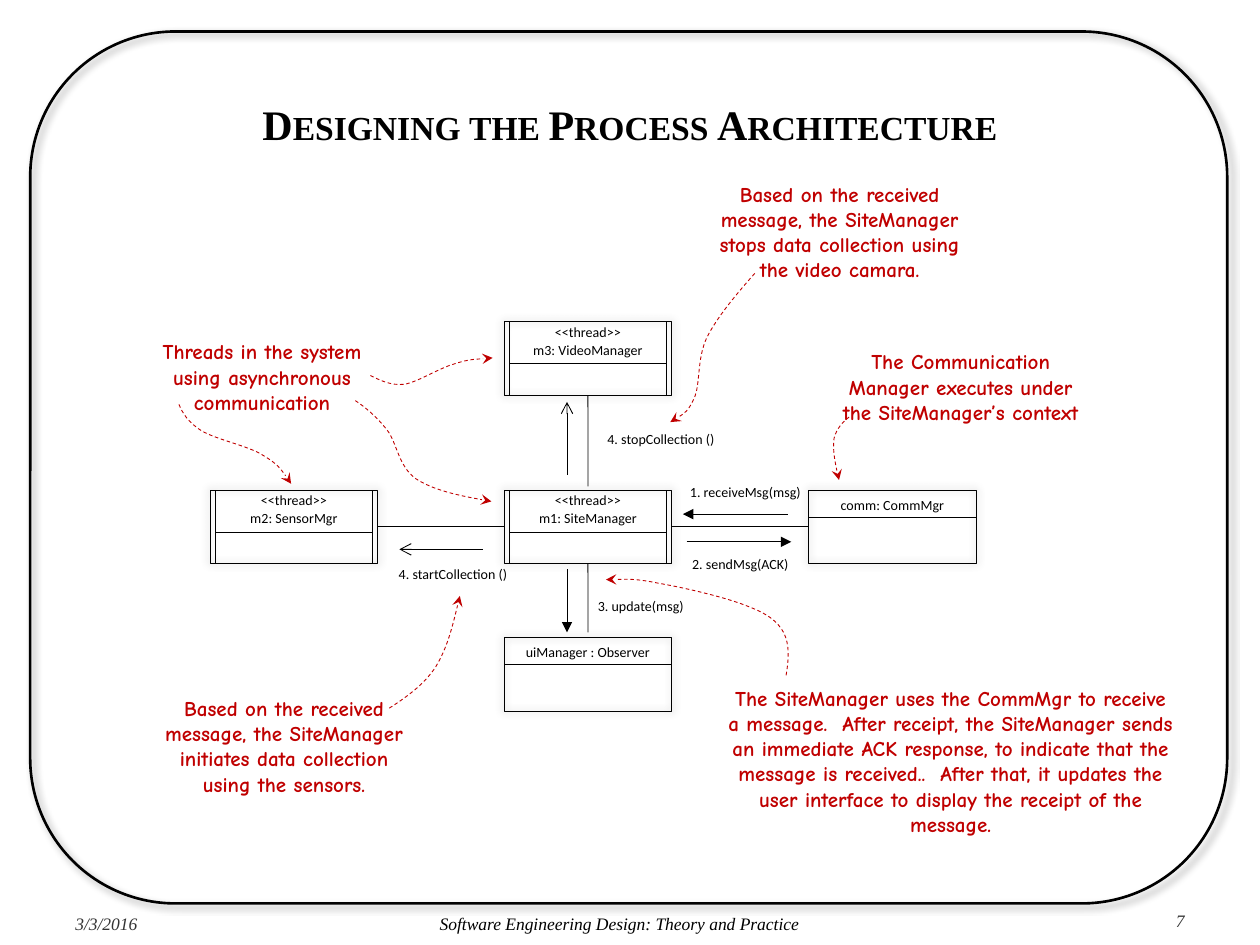
"""Build the process architecture collaboration slide."""
import pptx
import pptx.dml.color
import pptx.enum.dml
import pptx.enum.shapes
import pptx.enum.text
import pptx.oxml
import pptx.oxml.ns
import pptx.util
from lxml import etree

BLACK = pptx.dml.color.RGBColor(0x00, 0x00, 0x00)
GREY = pptx.dml.color.RGBColor(0x33, 0x33, 0x33)
RED = pptx.dml.color.RGBColor(0xC0, 0x00, 0x00)
qn = pptx.oxml.ns.qn
ALIGN = pptx.enum.text.PP_ALIGN
SHAPE = pptx.enum.shapes.MSO_SHAPE

prs = pptx.Presentation()
prs.slide_width = pptx.util.Inches(10)
prs.slide_height = pptx.util.Inches(7.5)
COL = prs.slide_width // 100
ROW = prs.slide_height // 75
BOX_W, BOX_H, BAR = 13.33, 5.83, 0.42
LABEL_H = 2.36
s = prs.slides.add_slide(prs.slide_layouts[6])


def add_text(x, y, w, h, text, size, font, color=BLACK, align=ALIGN.CENTER):
    tb = s.shapes.add_textbox(int(x * COL), int(y * ROW), int(w * COL), int(h * ROW))
    tf = tb.text_frame
    tf.word_wrap = True
    tf.text = text
    p = tf.paragraphs[0]
    p.alignment = align
    r = p.runs[0]
    r.font.size = pptx.util.Pt(size)
    r.font.name = font
    r.font.color.rgb = color
    return tf, r


def add_line(x1, y1, x2, y2, tail=None):
    cn = s.shapes.add_connector(
        pptx.enum.shapes.MSO_CONNECTOR.STRAIGHT,
        int(x1 * COL), int(y1 * ROW), int(x2 * COL), int(y2 * ROW))
    cn.line.color.rgb = BLACK
    cn.line.width = pptx.util.Pt(0.5)
    if tail:
        etree.SubElement(cn.line._get_or_add_ln(), qn("a:tailEnd"), type=tail)
    etree.SubElement(cn._element.spPr, qn("a:effectLst"))
    return cn


outlines = [
    ("frame", SHAPE.ROUNDED_RECTANGLE, 2.4, 2.5, 95, 69.2, 1.5, 4, 3, 45),
    ("m1", SHAPE.RECTANGLE, 40, 38.9, BOX_W, BOX_H, 0.5, 5, 0, 0),
    ("m3", SHAPE.RECTANGLE, 40, 25.55, BOX_W, BOX_H, 0.5, 5, 0, 0),
    ("m2", SHAPE.RECTANGLE, 16.67, 38.9, BOX_W, BOX_H, 0.5, 5, 0, 0),
    ("ui", SHAPE.RECTANGLE, 40, 50.6, BOX_W, BOX_H, 0.5, 5, 0, 0),
    ("comm", SHAPE.RECTANGLE, 64.17, 38.9, BOX_W, BOX_H, 0.5, 5, 0, 0),
]
boxes = {}
for name, kind, x, y, w, h, weight, blur, dist, angle in outlines:
    sp = s.shapes.add_shape(kind, int(x * COL), int(y * ROW), int(w * COL), int(h * ROW))
    sp.fill.background()
    sp.line.color.rgb = BLACK
    sp.line.width = pptx.util.Pt(weight)
    sp.shadow.inherit = False
    shadow = etree.SubElement(
        sp._element.spPr.find(qn("a:effectLst")), qn("a:outerShdw"),
        blurRad=str(pptx.util.Pt(blur)), dist=str(pptx.util.Pt(dist)),
        dir=str(angle * 60000), algn="ctr", rotWithShape="0")
    clr = etree.SubElement(shadow, qn("a:srgbClr"), val=str(BLACK))
    etree.SubElement(clr, qn("a:alpha"), val="40000")
    boxes[name] = sp

tf, r = add_text(5, 5.5, 90, 8.7, "Designing the Process Architecture", 24, "Times New Roman")
tf.vertical_anchor = pptx.enum.text.MSO_ANCHOR.MIDDLE
r.font.bold = True
r._r.get_or_add_rPr().set("cap", "small")

for x, y, w, text, color, align in [
    (5, 72, 10.8, "3/3/2016", GREY, ALIGN.LEFT),
    (15.8, 72, 66.7, "Software Engineering Design: Theory and Practice", BLACK, ALIGN.CENTER),
    (82.5, 71.7, 12.5, "7", GREY, ALIGN.RIGHT),
]:
    tf, r = add_text(x, y, w, 3, text, 10, "Times New Roman", color, align)
    r.font.italic = True

for x, y, title in [
    (40, 38.9, "m1: SiteManager"),
    (40, 25.55, "m3: VideoManager"),
    (16.67, 38.9, "m2: SensorMgr"),
]:
    left, right = x + BAR, x + BOX_W - BAR
    add_line(left, y + 3.33, right, y + 3.33)
    for bar in (left, right):
        add_line(bar, y, bar, y + BOX_H)
    add_text(x, y - 0.35, BOX_W, LABEL_H, "<<thread>>", 8, "Calibri")
    add_text(x, y + 1.05, BOX_W, LABEL_H, title, 8, "Calibri")

for x, y, title in [(40, 50.6, "uiManager : Observer"), (64.17, 38.9, "comm: CommMgr")]:
    add_line(x, y + 2.15, x + BOX_W, y + 2.15)
    add_text(x, y, BOX_W, LABEL_H, title, 8, "Calibri")

cn = add_line(40, 41.8, 30, 41.8)
cn.begin_connect(boxes["m1"], 1)
cn.end_connect(boxes["m2"], 3)
cn = add_line(53.33, 41.8, 64.17, 41.8)
cn.begin_connect(boxes["m1"], 3)
cn.end_connect(boxes["comm"], 1)
cn = add_line(46.67, 38.6, 46.67, 31.4)
cn.end_connect(boxes["m3"], 2)
cn = add_line(46.67, 50.2, 46.67, 44.7)
cn.end_connect(boxes["m1"], 2)

for x1, y1, x2, y2, tail in [
    (38.3, 43.6, 31.7, 43.6, "arrow"),
    (45, 37.7, 45, 31.9, "arrow"),
    (45, 45.2, 45, 50.2, "triangle"),
    (62.5, 40.8, 54.2, 40.8, "triangle"),
    (54.5, 43, 62.8, 43, "triangle"),
]:
    add_line(x1, y1, x2, y2, tail)

for x, y, text in [
    (52.5, 37.9, "1. receiveMsg(msg)"),
    (52.1, 43.6, "2. sendMsg(ACK)"),
    (44.2, 46.9, "3. update(msg)"),
    (29.3, 44.4, "4. startCollection ()"),
    (45.8, 33.7, "4. stopCollection ()"),
]:
    add_text(x, y, BOX_W, LABEL_H, text, 8, "Calibri")

for x, y, w, h, text in [
    (10.8, 26.4, 20, 7.1, "Threads in the system using asynchronous communication"),
    (65, 27.2, 22.5, 7.1, "The Communication Manager executes under the SiteManager’s context"),
    (56.7, 53.9, 37.5, 11.1,
     "The SiteManager uses the CommMgr to receive a message.  After receipt, the SiteManager "
     "sends an immediate ACK response, to indicate that the message is received..  After that, "
     "it updates the user interface to display the receipt of the message."),
    (11.7, 54.7, 21.7, 9.1,
     "Based on the received message, the SiteManager initiates data collection using the sensors."),
    (55.8, 13.9, 21.7, 9.1,
     "Based on the received message, the SiteManager stops data collection using the video camara."),
]:
    tf, r = add_text(x, y, w, h, text, 12, "Comic Neue", RED)
    r.font.bold = True

curves = [
    [(294, 298), (302, 302), (310, 306), (321, 305), (332, 303), (349, 292), (360, 289),
     (372, 285), (381, 285), (391, 284)],
    [(282, 318), (291, 324), (299, 331), (307, 341), (315, 351), (316, 370), (330, 380),
     (344, 389), (367, 394), (390, 398)],
    [(142, 321), (145, 328), (149, 335), (160, 342), (172, 349), (197, 354), (208, 361),
     (220, 368), (226, 376), (231, 384)],
    [(674, 331), (669, 335), (664, 340), (662, 348), (661, 357), (663, 369), (666, 381)],
    [(624, 536), (626, 524), (627, 512), (622, 502), (617, 493), (609, 487), (593, 481),
     (576, 474), (541, 466), (523, 463), (504, 459), (493, 460), (481, 460)],
    [(309, 562), (323, 553), (337, 543), (346, 529), (355, 514), (360, 494), (365, 473)],
    [(599, 217), (584, 234), (569, 252), (561, 268), (553, 285), (556, 305), (551, 316),
     (546, 327), (539, 331), (532, 335)],
]
for points in curves:
    fb = s.shapes.build_freeform(*points[0], scale=COL / 10)
    fb.add_line_segments(points[1:], close=False)
    sp = fb.convert_to_shape()
    sp.fill.background()
    sp.line.color.rgb = RED
    sp.line.width = pptx.util.Pt(0.5)
    sp.line.dash_style = pptx.enum.dml.MSO_LINE.DASH
    sp.shadow.inherit = False
    etree.SubElement(sp.line._get_or_add_ln(), qn("a:tailEnd"), type="stealth")
    segments = list(sp._element.iter(qn("a:lnTo")))
    outline = segments[0].getparent()
    for i in range(0, len(segments), 3):
        bezier = etree.SubElement(outline, qn("a:cubicBezTo"))
        for segment in segments[i:i + 3]:
            bezier.append(segment[0])
            outline.remove(segment)

prs.save("out.pptx")
